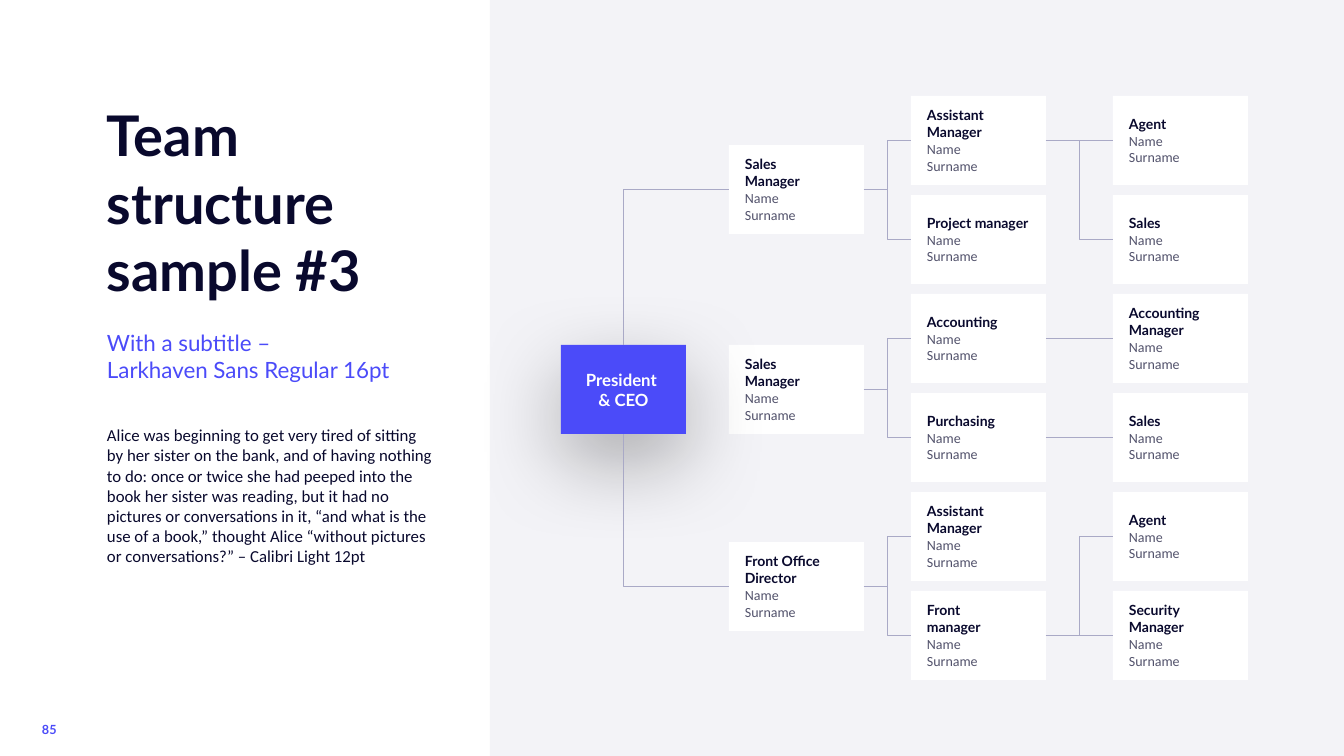
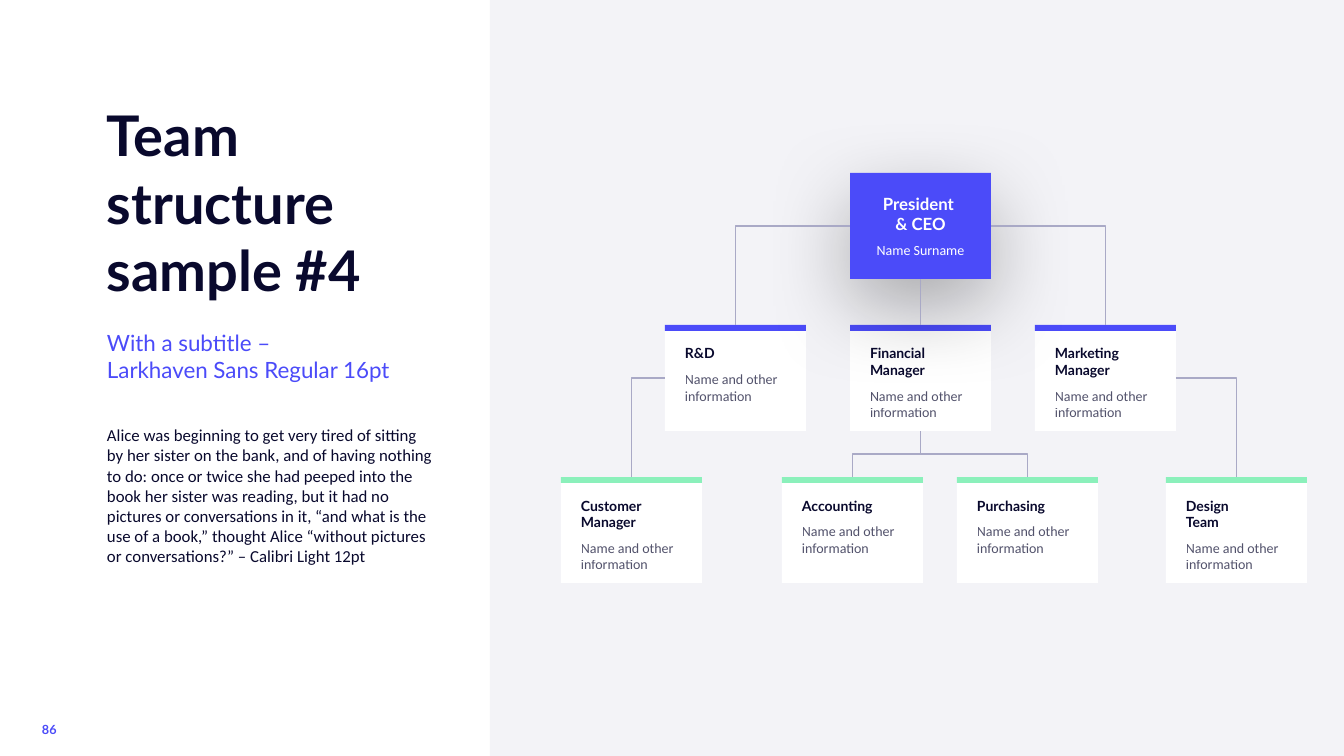
from dataclasses import dataclass

import lxml.etree
import pptx
import pptx.dml.color
import pptx.enum.shapes
import pptx.enum.text
import pptx.oxml.ns
import pptx.shapes.autoshape
import pptx.slide
import pptx.text.text
import pptx.util

SLIDE_WIDTH, SLIDE_HEIGHT = 1344, 756
EMU_PER_PX = 12192000 / SLIDE_WIDTH

COLORS = {
    "ink": "09092D",
    "accent": "4B4BF9",
    "mint": "8BF0BB",
    "panel": "F3F3F7",
    "line": "A9A9C6",
    "white": "FFFFFF",
    "shadow": "000000",
}

TOP, LEFT, BOTTOM, RIGHT = range(4)
CENTER = pptx.enum.text.PP_ALIGN.CENTER
MIDDLE = pptx.enum.text.MSO_ANCHOR.MIDDLE

SUBTITLE = "With a subtitle –\vLarkhaven Sans Regular 16pt"
BODY = (
    "Alice was beginning to get very tired of sitting by her sister on the bank, "
    "and of having nothing to do: once or twice she had peeped into the book her "
    "sister was reading, but it had no pictures or conversations in it, “and what "
    "is the use of a book,” thought Alice “without pictures or conversations?” "
    "– Calibri Light 12pt"
)
CEO = "President \v& CEO"


@dataclass(frozen=True)
class Style:
    size: int
    font: str
    color: str
    bold: bool = False
    opacity: int = 100


@dataclass(frozen=True)
class Text:
    """One paragraph; space_before is in points."""
    words: str
    style: Style
    space_before: int = 0
    line_spacing: float = 1.0


@dataclass(frozen=True)
class Box:
    left: int
    top: int
    width: int
    height: int


@dataclass(frozen=True)
class Frame:
    """How text sits in its box; insets are left, top, right, bottom in px."""
    insets: tuple[int, int, int, int]
    anchor: pptx.enum.text.MSO_ANCHOR = pptx.enum.text.MSO_ANCHOR.TOP
    align: pptx.enum.text.PP_ALIGN = pptx.enum.text.PP_ALIGN.LEFT


TITLE_STYLE = Style(40, "Lato", "ink", bold=True)
SUBTITLE_STYLE = Style(16, "Lato", "accent")
BODY_STYLE = Style(12, "Calibri", "ink")
NUMBER_STYLE = Style(9, "Lato", "accent", bold=True)
ROLE_STYLE = Style(10, "Lato", "ink", bold=True)
DETAIL_STYLE = Style(10, "Calibri", "ink", opacity=70)
CEO_STYLE = Style(12, "Lato", "white", bold=True)
CEO_NAME_STYLE = Style(10, "Calibri", "white")

COPY_FRAME = Frame((10, 5, 10, 5))
NUMBER_FRAME = Frame((5, 5, 5, 5))
COMPACT_FRAME = Frame((16, 0, 12, 0), MIDDLE)
STRIPED_FRAME = Frame((20, 20, 10, 0))
CEO_FRAME = Frame((0, 0, 0, 0), MIDDLE, CENTER)


def px(length: int) -> pptx.util.Emu:
    return pptx.util.Emu(round(length * EMU_PER_PX))


def rgb(name: str) -> pptx.dml.color.RGBColor:
    return pptx.dml.color.RGBColor.from_string(COLORS[name])


def place(box: Box) -> tuple[pptx.util.Emu, ...]:
    return px(box.left), px(box.top), px(box.width), px(box.height)


def add_child(parent: lxml.etree._Element, tag: str, **attributes: str) -> lxml.etree._Element:
    return lxml.etree.SubElement(parent, pptx.oxml.ns.qn(tag), attributes)


def write(text_frame: pptx.text.text.TextFrame, frame: Frame, texts: list[Text]) -> None:
    text_frame.word_wrap = True
    text_frame.vertical_anchor = frame.anchor
    (text_frame.margin_left, text_frame.margin_top,
     text_frame.margin_right, text_frame.margin_bottom) = map(px, frame.insets)
    for index, text in enumerate(texts):
        paragraph = text_frame.add_paragraph() if index else text_frame.paragraphs[0]
        paragraph.text = text.words
        paragraph.alignment = frame.align
        if text.space_before:
            paragraph.space_before = pptx.util.Pt(text.space_before)
        if text.line_spacing != 1:
            paragraph.line_spacing = text.line_spacing
        font = paragraph.font
        font.size = pptx.util.Pt(text.style.size)
        font.name = text.style.font
        font.bold = text.style.bold
        font.color.rgb = rgb(text.style.color)
        if text.style.opacity < 100:
            for color in paragraph._p.iter(pptx.oxml.ns.qn("a:srgbClr")):
                add_child(color, "a:alpha", val=str(text.style.opacity * 1000))


def add_text(slide: pptx.slide.Slide, box: Box, frame: Frame, texts: list[Text]) -> None:
    write(slide.shapes.add_textbox(*place(box)).text_frame, frame, texts)


def add_rectangle(slide: pptx.slide.Slide, box: Box, color: str) -> pptx.shapes.autoshape.Shape:
    shape = slide.shapes.add_shape(pptx.enum.shapes.MSO_SHAPE.RECTANGLE, *place(box))
    shape.shadow.inherit = False
    shape.fill.solid()
    shape.fill.fore_color.rgb = rgb(color)
    shape.line.fill.background()
    return shape


def add_compact_card(slide: pptx.slide.Slide, left: int, top: int,
                     role: str) -> pptx.shapes.autoshape.Shape:
    card = add_rectangle(slide, Box(left, top, 135, 89), "white")
    write(card.text_frame, COMPACT_FRAME,
          [Text(role, ROLE_STYLE), Text("Name\vSurname", DETAIL_STYLE)])
    return card


def add_striped_card(slide: pptx.slide.Slide, left: int, top: int, role: str,
                     stripe: str) -> pptx.shapes.autoshape.Shape:
    card = add_rectangle(slide, Box(left, top, 141, 106), "white")
    write(card.text_frame, STRIPED_FRAME,
          [Text(role, ROLE_STYLE), Text("Name and other information", DETAIL_STYLE, 6)])
    add_rectangle(slide, Box(left, top, 141, 6), stripe)
    return card


def add_ceo(slide: pptx.slide.Slide, box: Box,
            texts: list[Text]) -> pptx.shapes.autoshape.Shape:
    """Accent box with a soft shadow below it."""
    shape = add_rectangle(slide, box, "accent")
    effects = shape._element.spPr.find(pptx.oxml.ns.qn("a:effectLst"))
    shadow = add_child(effects, "a:outerShdw", blurRad=str(pptx.util.Pt(60)),
                       dist=str(pptx.util.Pt(20)), dir="5400000", rotWithShape="0")
    color = add_child(shadow, "a:srgbClr", val=COLORS["shadow"])
    add_child(color, "a:alpha", val="30000")
    write(shape.text_frame, CEO_FRAME, texts)
    return shape


def connect(slide: pptx.slide.Slide, begin: pptx.shapes.autoshape.Shape, begin_side: int,
            end: pptx.shapes.autoshape.Shape, end_side: int) -> None:
    """Join two sides: straight if aligned, else with one or two bends."""
    connector = slide.shapes.add_connector(
        pptx.enum.shapes.MSO_CONNECTOR.STRAIGHT, 0, 0, 0, 0)
    connector.begin_connect(begin, begin_side)
    connector.end_connect(end, end_side)
    connector.line.color.rgb = rgb("line")
    connector.line.width = pptx.util.Pt(0.75)
    properties = connector._element.spPr
    add_child(properties, "a:effectLst")
    if not (connector.width and connector.height):
        return
    upright = {TOP, BOTTOM}
    one_bend = (begin_side in upright) != (end_side in upright)
    geometry = properties.find(pptx.oxml.ns.qn("a:prstGeom"))
    geometry.set("prst", "bentConnector2" if one_bend else "bentConnector3")
    if not one_bend and begin_side in upright:
        turn_downward(connector)


def turn_downward(connector: pptx.shapes.connector.Connector) -> None:
    """Rotate a two-bend connector so that it leaves its start downward."""
    rightward = connector.end_x > connector.begin_x
    width, height = connector.width, connector.height
    connector.left += (width - height) // 2
    connector.top += (height - width) // 2
    connector.width, connector.height = height, width
    transform = connector._element.spPr.find(pptx.oxml.ns.qn("a:xfrm"))
    transform.set("rot", "16200000" if rightward else "5400000")
    transform.set("flipH", "1" if rightward else "0")


def add_base_slide(presentation: pptx.presentation.Presentation, number: int,
                   sample: int) -> pptx.slide.Slide:
    """Blank slide with page number, panel, title and body copy."""
    slide = presentation.slides.add_slide(presentation.slide_layouts[6])
    add_text(slide, Box(37, 719, 40, 24), NUMBER_FRAME,
             [Text(str(number), NUMBER_STYLE, line_spacing=0.9)])
    add_rectangle(slide, Box(490, 0, SLIDE_WIDTH - 490, SLIDE_HEIGHT), "panel")
    add_text(slide, Box(97, 96, 365, 295), COPY_FRAME,
             [Text(f"Team\vstructure\vsample #{sample}", TITLE_STYLE),
              Text(SUBTITLE, SUBTITLE_STYLE, 19)])
    add_text(slide, Box(97, 420, 346, 152), COPY_FRAME, [Text(BODY, BODY_STYLE)])
    return slide


def add_horizontal_chart(slide: pptx.slide.Slide) -> None:
    manager_rows = {145: "Sales\vManager", 345: "Sales\vManager", 542: "Front Office Director"}
    staff_roles = ["Assistant Manager", "Project manager", "Accounting",
                   "Purchasing", "Assistant Manager", "Front\vmanager"]
    report_roles = ["Agent", "Sales", "Accounting Manager",
                    "Sales", "Agent", "Security Manager"]
    managers = [add_compact_card(slide, 729, top, role) for top, role in manager_rows.items()]
    staff, reports = (
        [add_compact_card(slide, left, 96 + 99 * row, role) for row, role in enumerate(roles)]
        for left, roles in ((911, staff_roles), (1113, report_roles)))
    ceo = add_ceo(slide, Box(561, 345, 125, 89), [Text(CEO, CEO_STYLE)])

    connect(slide, managers[0], LEFT, ceo, TOP)
    connect(slide, managers[2], LEFT, ceo, BOTTOM)
    for row, card in enumerate(staff):
        connect(slide, managers[row // 2], RIGHT, card, LEFT)
    for staff_row, report_row in ((0, 0), (0, 1), (2, 2), (3, 3), (5, 4), (5, 5)):
        connect(slide, staff[staff_row], RIGHT, reports[report_row], LEFT)


def add_vertical_chart(slide: pptx.slide.Slide) -> None:
    research, finance, marketing = (
        add_striped_card(slide, 665 + 185 * column, 325, role, "accent")
        for column, role in enumerate(["R&D", "Financial Manager", "Marketing Manager"]))
    customer, accounting, purchasing, design = (
        add_striped_card(slide, left, 477, role, "mint")
        for left, role in ((561, "Customer Manager"), (782, "Accounting"),
                           (957, "Purchasing"), (1166, "Design\vTeam")))
    ceo = add_ceo(slide, Box(850, 173, 141, 106),
                  [Text(CEO, CEO_STYLE), Text("Name Surname", CEO_NAME_STYLE, 6)])

    for begin, begin_side, end in (
            (ceo, BOTTOM, finance), (ceo, LEFT, research), (ceo, RIGHT, marketing),
            (research, LEFT, customer), (marketing, RIGHT, design),
            (finance, BOTTOM, accounting), (finance, BOTTOM, purchasing)):
        connect(slide, begin, begin_side, end, TOP)


def main() -> None:
    presentation = pptx.Presentation()
    presentation.slide_width = px(SLIDE_WIDTH)
    presentation.slide_height = px(SLIDE_HEIGHT)
    add_horizontal_chart(add_base_slide(presentation, 85, 3))
    add_vertical_chart(add_base_slide(presentation, 86, 4))
    presentation.save("out.pptx")


if __name__ == "__main__":
    main()
